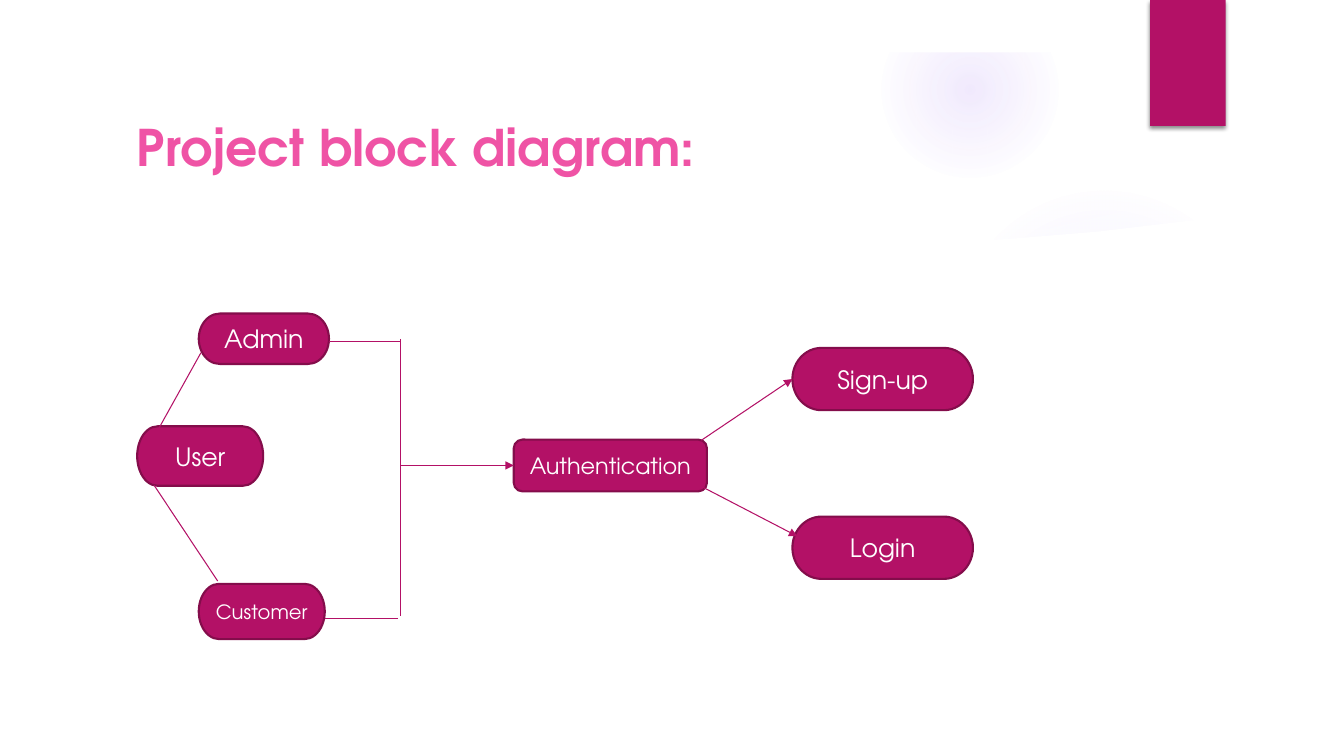
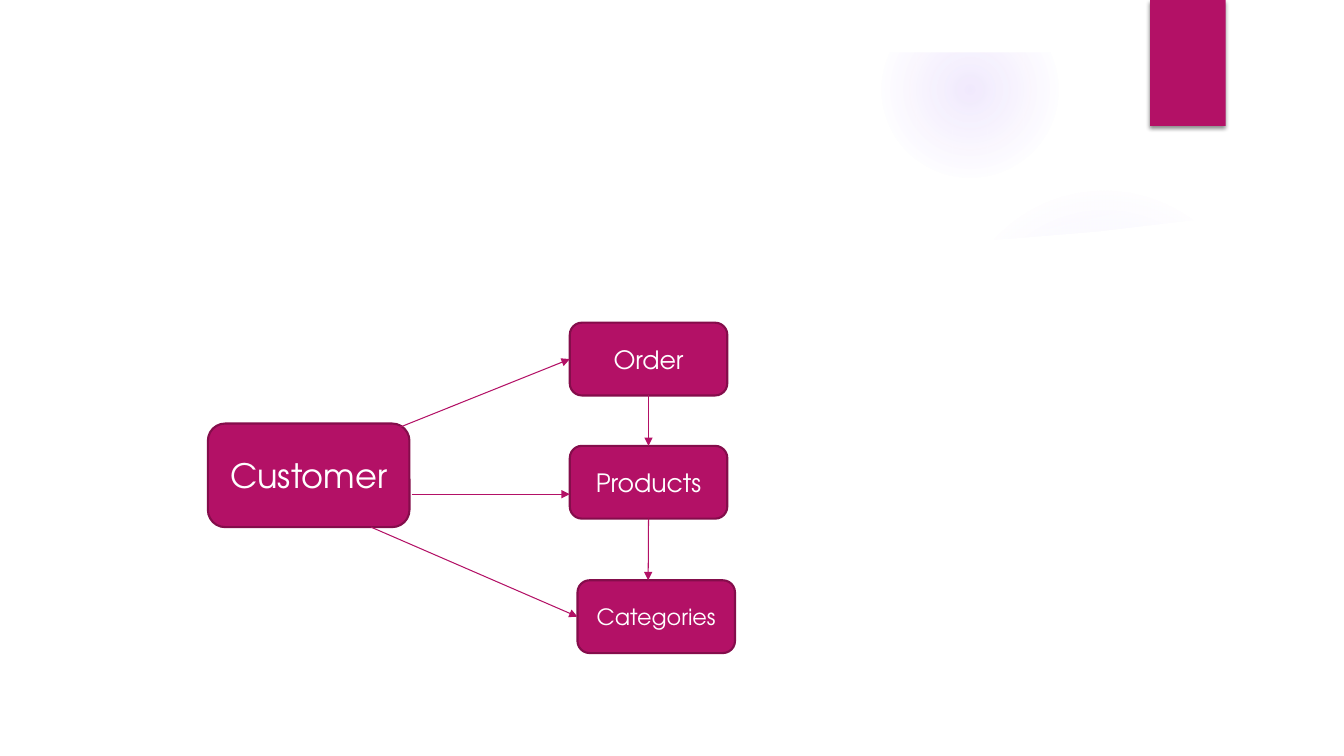
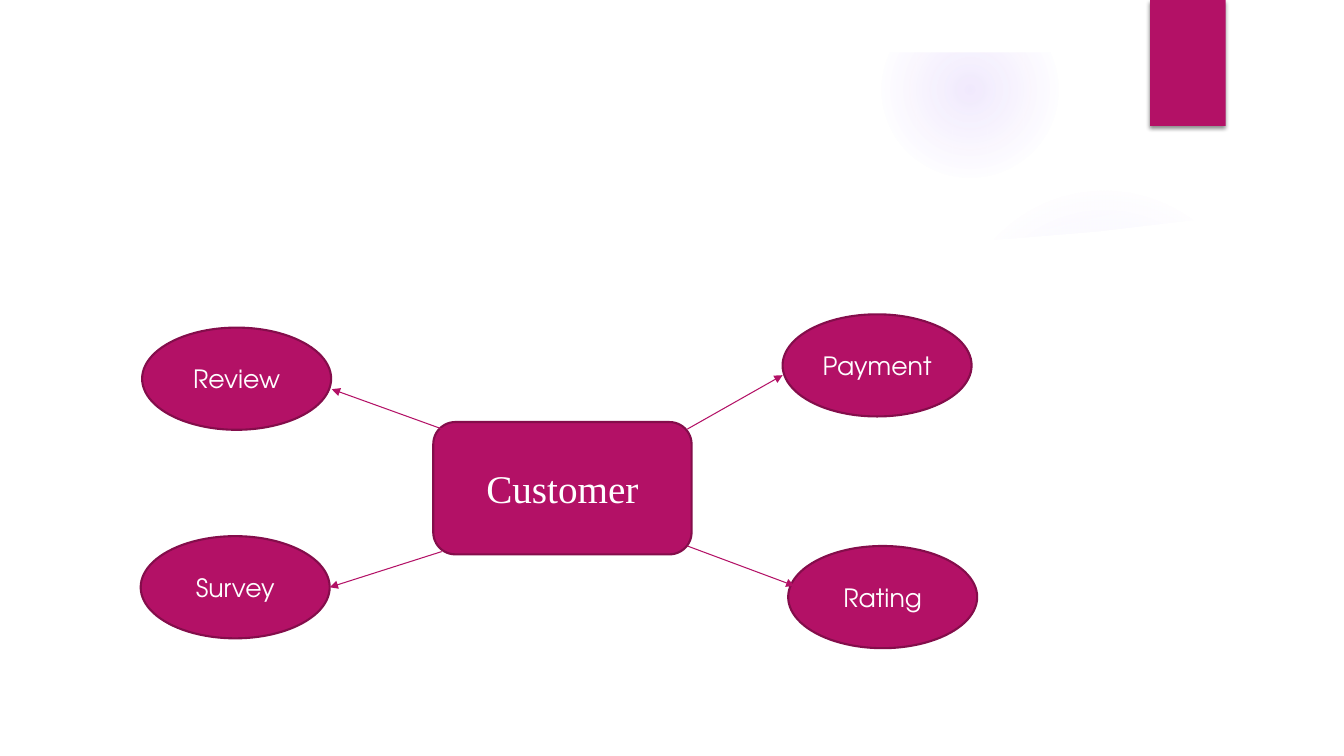
"""Build three block-diagram slides that share one decorated layout."""
from dataclasses import dataclass

from lxml.etree import SubElement
from pptx import Presentation
from pptx.dml.color import RGBColor
from pptx.enum.shapes import MSO_CONNECTOR as Connector, MSO_SHAPE as Preset
from pptx.enum.text import MSO_ANCHOR as Anchor, MSO_AUTO_SIZE as AutoSize, PP_ALIGN as Align
from pptx.oxml.ns import qn
from pptx.shapes.autoshape import Shape
from pptx.slide import Slide, SlideLayout
from pptx.util import Pt

COLOURS = {
    "accent": "B31166",
    "outline": "840D4B",
    "title": "EF53A5",
    "paper": "FFFFFF",
    "glow": "9B6BF2",
    "shadow": "000000",
}
SANS, SERIF = "TeX Gyre Adventor", "Times New Roman"
WIDTH, HEIGHT = 960, 540
TOP, LEFT, BOTTOM, RIGHT = range(4)
Point = tuple[float, float]


@dataclass(frozen=True)
class Node:
    label: str
    left: float
    top: float
    width: float
    height: float
    preset: Preset
    size: float = 18
    font: str = SANS


@dataclass(frozen=True)
class Joint:
    label: str
    side: int


@dataclass(frozen=True)
class Link:
    start: Point | Joint
    end: Point | Joint
    arrow: bool = True


@dataclass(frozen=True)
class Glow:
    left: float
    top: float
    diameter: float
    stops: tuple[tuple[int, int], ...]


@dataclass(frozen=True)
class Diagram:
    title: str
    nodes: tuple[Node, ...]
    links: tuple[Link, ...]


GLOWS = (
    Glow(677.5, 132, 222, ((0, 7), (36, 6), (69, 0))),
    Glow(630, 1, 126, ((0, 14), (36, 7), (73, 0))),
)
GLEAM = ((672.5, 180), (928, 154), (924, 119.5), (875, 135.5), (815, 148), (750, 163), (669.5, 175))
PANEL = (
    (36, 147), (67.5, 151), (134.5, 159), (231, 168), (351, 175), (510, 178.5), (624, 176.5),
    (723, 170.5), (784, 165.5), (864, 156), (924.5, 147), (924.5, 504), (36, 504),
)
FRAME = 37.5

PILL, BLOCK, OVAL = Preset.FLOWCHART_TERMINATOR, Preset.ROUNDED_RECTANGLE, Preset.OVAL
BUS = 286

DIAGRAMS = (
    Diagram(
        "Project block diagram:",
        (
            Node("User", 98, 304.5, 90, 42.5, PILL),
            Node("Customer", 142, 417, 90, 39.5, PILL, 14),
            Node("Admin", 142, 224, 93, 36, PILL),
            Node("Authentication", 367, 314, 138, 37, BLOCK, 16),
            Node("Sign-up", 566, 248.5, 129, 44.5, PILL),
            Node("Login", 566, 369, 129, 44.5, PILL),
        ),
        (
            Link((109, 314), (143.5, 252), False),
            Link((110, 346.5), (155.5, 415), False),
            Link((BUS, 242), (BUS, 440), False),
            Link((235, 244), (BUS, 244), False),
            Link((232, 442), (284, 442), False),
            Link((BUS, 332.5), Joint("Authentication", LEFT)),
            Link((501, 314.5), Joint("Sign-up", LEFT)),
            Link((489.5, 341.5), (569.5, 383)),
        ),
    ),
    Diagram(
        "",
        (
            Node("Customer", 148.5, 302.5, 144, 74, BLOCK, 24),
            Node("Order", 407, 230.5, 112.5, 52, BLOCK),
            Node("Products", 407, 318.5, 112.5, 52, BLOCK),
            Node("Categories", 412.5, 414.5, 112.5, 52, BLOCK, 16),
        ),
        (
            Link((283.5, 306), Joint("Order", LEFT)),
            Link(Joint("Order", BOTTOM), Joint("Products", TOP)),
            Link((294, 353), (407, 353)),
            Link(Joint("Products", BOTTOM), (463, 414.5)),
            Link((265, 376.5), Joint("Categories", LEFT)),
        ),
    ),
    Diagram(
        "",
        (
            Node("Customer", 309.5, 301.5, 184.5, 94.5, BLOCK, 28, SERIF),
            Node("Payment", 559, 224.5, 135, 73, OVAL),
            Node("Rating", 563, 390, 135, 73, OVAL),
            Node("Review", 101.5, 234, 135, 73, OVAL),
            Node("Survey", 100.5, 383, 135, 73, OVAL),
        ),
        (
            Link((491, 306.5), (559, 268)),
            Link((491, 390), (567.5, 418.5)),
            Link((316, 306.5), (237, 278)),
            Link((315.5, 394), (235.5, 419.5)),
        ),
    ),
)


def rgb(name: str) -> RGBColor:
    return RGBColor.from_string(COLOURS[name])


def add_colour(parent, name: str, percent: int) -> None:
    colour = SubElement(parent, qn("a:srgbClr"), val=COLOURS[name])
    SubElement(colour, qn("a:alpha"), val=str(percent * 1000))


def add_filled(slide: Slide, preset: Preset, box: tuple[float, ...], fill: str) -> Shape:
    shape = slide.shapes.add_shape(preset, *map(Pt, box))
    return paint(shape, fill)


def paint(shape: Shape, fill: str) -> Shape:
    shape.shadow.inherit = False
    shape.fill.solid()
    shape.fill.fore_color.rgb = rgb(fill)
    shape.line.fill.background()
    return shape


def add_outline(slide: Slide, points: tuple[Point, ...]) -> Shape:
    corners = [(Pt(x), Pt(y)) for x, y in points]
    builder = slide.shapes.build_freeform(*corners[0])
    builder.add_line_segments(corners[1:], close=True)
    return paint(builder.convert_to_shape(), "paper")


def add_glow(slide: Slide, glow: Glow) -> Shape:
    shape = add_filled(slide, OVAL, (glow.left, glow.top, glow.diameter, glow.diameter), "glow")
    properties = shape.element.spPr
    solid = properties.find(qn("a:solidFill"))
    gradient = SubElement(properties, qn("a:gradFill"))
    properties.replace(solid, gradient)
    stops = SubElement(gradient, qn("a:gsLst"))
    for position, percent in glow.stops:
        add_colour(SubElement(stops, qn("a:gs"), pos=str(position * 1000)), "glow", percent)
    centre = SubElement(gradient, qn("a:path"), path="circle")
    SubElement(centre, qn("a:fillToRect"), l="50000", t="50000", r="50000", b="50000")
    return shape


def add_gleam(slide: Slide) -> Shape:
    gleam = add_outline(slide, GLEAM)
    colour = gleam.element.spPr.find(qn("a:solidFill"))[0]
    SubElement(colour, qn("a:alpha"), val="20000")
    return gleam


def add_frame(slide: Slide) -> Shape:
    frame = add_filled(slide, Preset.FRAME, (0, 0, WIDTH, HEIGHT), "paper")
    frame.adjustments[0] = FRAME / HEIGHT
    return frame


def add_ribbon(slide: Slide) -> Shape:
    ribbon = add_filled(slide, Preset.RECTANGLE, (821.5, 0, 54, 90), "accent")
    effects = ribbon.element.spPr.find(qn("a:effectLst"))
    shadow = SubElement(
        effects, qn("a:outerShdw"), blurRad=str(Pt(3)), dist=str(Pt(2)), dir="5400000", rotWithShape="0"
    )
    add_colour(shadow, "shadow", 45)
    return ribbon


def decorate(layout: SlideLayout, slide: Slide) -> None:
    decorations = [add_glow(slide, glow) for glow in GLOWS]
    decorations += [add_gleam(slide), add_outline(slide, PANEL), add_frame(slide), add_ribbon(slide)]
    for order, decoration in enumerate(decorations):
        decoration.element.nvSpPr.cNvPr.set("id", str(100 + order))
        layout.shapes.element.insert(2 + order, decoration.element)


def write(shape: Shape, text: str, size: float, font: str, colour: str, align: Align, bold: bool = False) -> None:
    frame = shape.text_frame
    frame.word_wrap = True
    frame.auto_size = AutoSize.NONE
    frame.vertical_anchor = Anchor.MIDDLE
    paragraph = frame.paragraphs[0]
    paragraph.alignment = align
    run = paragraph.add_run()
    run.text = text
    run.font.size = Pt(size)
    run.font.name = font
    run.font.bold = bold
    run.font.color.rgb = rgb(colour)


def set_title(slide: Slide, text: str) -> None:
    title = slide.shapes.title
    if not text:
        title.element.getparent().remove(title.element)
        return
    title.left, title.top, title.width, title.height = map(Pt, (90.5, 76.5, 690, 55.5))
    write(title, text, 36, SANS, "title", Align.LEFT, bold=True)


def add_node(slide: Slide, node: Node) -> Shape:
    shape = add_filled(slide, node.preset, (node.left, node.top, node.width, node.height), "accent")
    shape.line.color.rgb = rgb("outline")
    shape.line.width = Pt(1.5)
    write(shape, node.label, node.size, node.font, "paper", Align.CENTER)
    return shape


def add_link(slide: Slide, link: Link, nodes: dict[str, Shape]) -> None:
    ends = [(0, 0) if isinstance(end, Joint) else end for end in (link.start, link.end)]
    line = slide.shapes.add_connector(Connector.STRAIGHT, *(Pt(value) for end in ends for value in end))
    for end, connect in ((link.start, line.begin_connect), (link.end, line.end_connect)):
        if isinstance(end, Joint):
            connect(nodes[end.label], end.side)
    line.line.color.rgb = rgb("accent")
    line.line.width = Pt(0.75)
    properties = line.element.spPr
    if link.arrow:
        SubElement(properties.find(qn("a:ln")), qn("a:tailEnd"), type="triangle")
    SubElement(properties, qn("a:effectLst"))


def main() -> None:
    deck = Presentation()
    deck.slide_width, deck.slide_height = Pt(WIDTH), Pt(HEIGHT)
    layout = deck.slide_layouts[5]
    slides = [deck.slides.add_slide(layout) for _ in DIAGRAMS]
    decorate(layout, slides[0])
    for slide, diagram in zip(slides, DIAGRAMS):
        set_title(slide, diagram.title)
        nodes = {node.label: add_node(slide, node) for node in diagram.nodes}
        for link in diagram.links:
            add_link(slide, link, nodes)
    deck.save("out.pptx")


if __name__ == "__main__":
    main()
